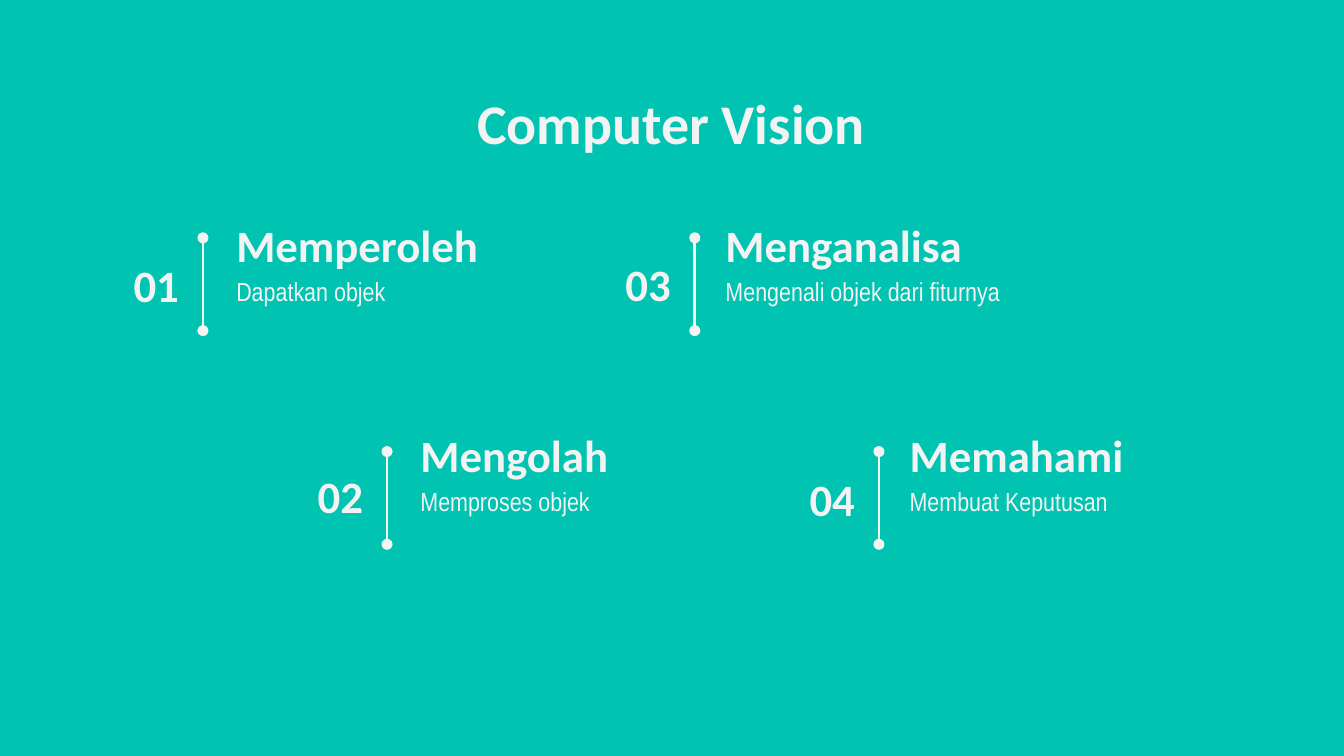
"""Build the Computer Vision slide: four numbered steps in two staggered rows."""
from lxml.etree import SubElement
from pptx import Presentation
from pptx.dml.color import RGBColor
from pptx.enum.shapes import MSO_CONNECTOR
from pptx.enum.text import MSO_ANCHOR, MSO_AUTO_SIZE, PP_ALIGN
from pptx.oxml.ns import qn
from pptx.util import Inches, Pt

TEAL = RGBColor(0x00, 0xC3, 0xB1)
OFF_WHITE = RGBColor(0xF3, 0xF3, 0xF3)

PAIR_LEFTS = (1.51, 5.17)
TEXT_GAPS = (0.15, 0.13)
STAGGER = 1.37
LINE_TOPS = (1.77, 3.36)
HEADING_TOPS = (1.59, 3.15)
LINE_HEIGHT = 0.69

STEPS = (
    ("01", "Memperoleh", "Dapatkan objek", 1.89),
    ("02", "Mengolah", "Memproses objek", 3.46),
    ("03", "Menganalisa", "Mengenali objek dari fiturnya", 1.88),
    ("04", "Memahami", "Membuat Keputusan", 3.48),
)


def write_text(shape, text, size, font="Calibri", bold=True,
               alignment=PP_ALIGN.LEFT, anchor=MSO_ANCHOR.MIDDLE):
    frame = shape.text_frame
    frame.text = text
    frame.word_wrap = True
    frame.auto_size = MSO_AUTO_SIZE.NONE
    frame.vertical_anchor = anchor
    frame.margin_left = frame.margin_right = Inches(0.1)
    frame.margin_top = frame.margin_bottom = Inches(0.1)
    paragraph = frame.paragraphs[0]
    paragraph.alignment = alignment
    paragraph.font.name = font
    paragraph.font.size = Pt(size)
    paragraph.font.bold = bold
    paragraph.font.color.rgb = OFF_WHITE


def add_box(left, top, width, height):
    return slide.shapes.add_textbox(Inches(left), Inches(top), Inches(width), Inches(height))


presentation = Presentation()
presentation.slide_width = Inches(10)
presentation.slide_height = presentation.slide_width * 9 // 16
slide = presentation.slides.add_slide(presentation.slide_layouts[5])
slide.background.fill.solid()
slide.background.fill.fore_color.rgb = TEAL

title = slide.shapes.title
title.left, title.top = Inches(0.78), Inches(0.56)
title.width, title.height = Inches(8.43), Inches(0.63)
write_text(title, "Computer Vision", 30, alignment=PP_ALIGN.CENTER, anchor=MSO_ANCHOR.TOP)

for index, (number, heading, detail, number_top) in enumerate(STEPS):
    pair, row = divmod(index, 2)
    line_left = PAIR_LEFTS[pair] + row * STAGGER
    line_top = LINE_TOPS[row]
    text_left = line_left + TEXT_GAPS[pair]
    heading_top = HEADING_TOPS[row]

    write_text(add_box(line_left - 0.74, number_top, 0.66, 0.46), number, 24,
               alignment=PP_ALIGN.RIGHT)
    write_text(add_box(text_left, heading_top, 2.56, 0.46), heading, 24)
    detail_box = add_box(text_left, heading_top + 0.36, 2.56, 0.71)
    write_text(detail_box, detail, 14, "Arial Narrow", False, anchor=MSO_ANCHOR.TOP)
    detail_box.text_frame.paragraphs[0].space_after = Pt(16)

    divider = slide.shapes.add_connector(
        MSO_CONNECTOR.STRAIGHT, Inches(line_left), Inches(line_top),
        Inches(line_left), Inches(line_top + LINE_HEIGHT))
    divider.line.color.rgb = OFF_WHITE
    divider.line.width = Pt(1.5)
    properties = divider.element.spPr
    outline = properties.find(qn("a:ln"))
    for end in ("a:headEnd", "a:tailEnd"):
        SubElement(outline, qn(end), type="oval", w="med", len="med")
    SubElement(properties, qn("a:effectLst"))

presentation.save("out.pptx")
